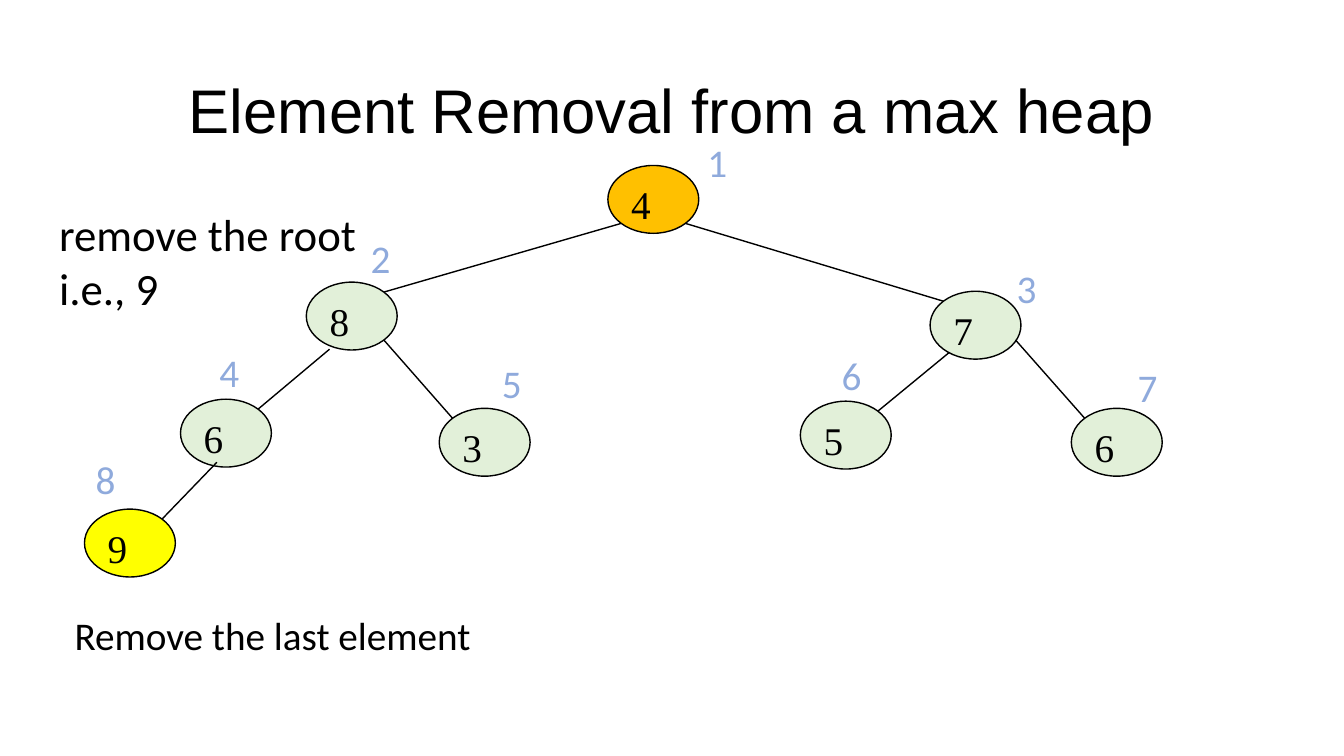
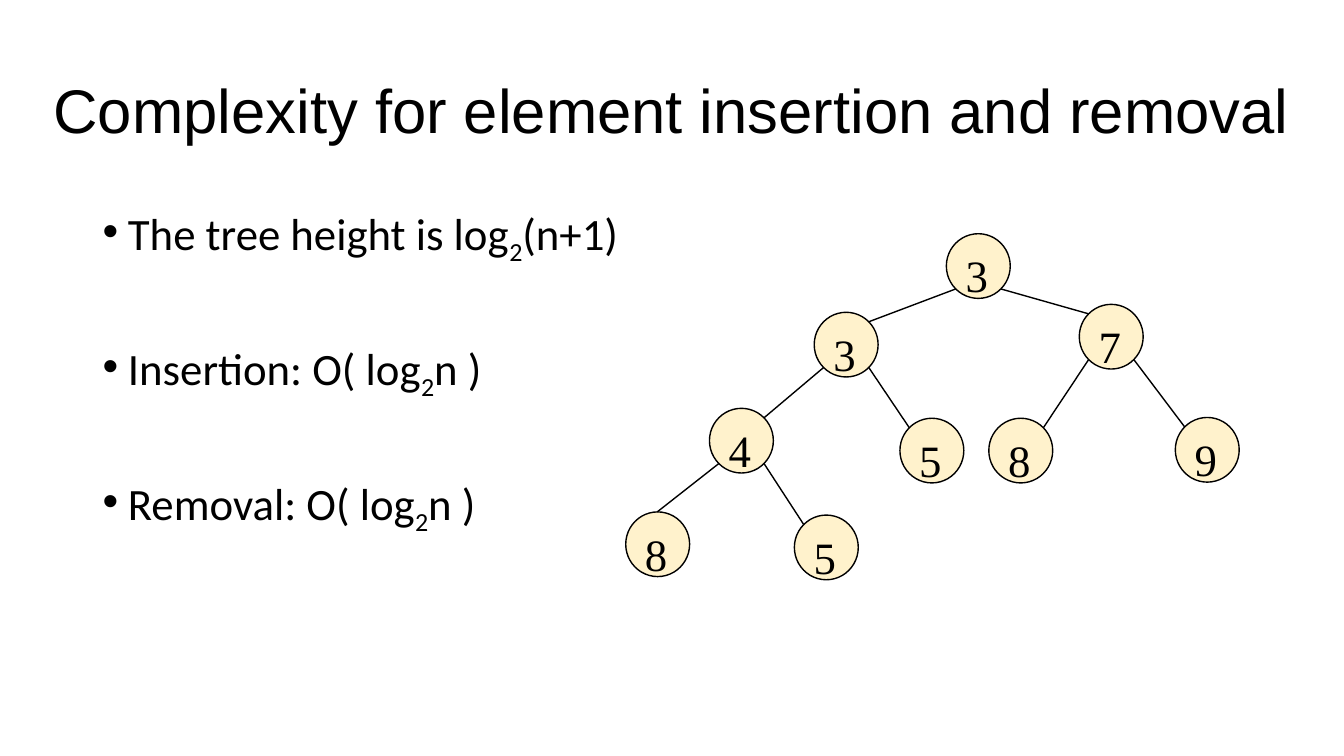
from math import sqrt
from lxml import etree
from pptx import Presentation
from pptx.dml.color import RGBColor
from pptx.enum.shapes import MSO_CONNECTOR, MSO_SHAPE
from pptx.enum.text import MSO_ANCHOR, MSO_AUTO_SIZE, PP_ALIGN
from pptx.oxml.ns import qn
from pptx.util import Cm, Pt

OVAL, STRAIGHT = MSO_SHAPE.OVAL, MSO_CONNECTOR.STRAIGHT
MIDDLE, NO_FIT = MSO_ANCHOR.MIDDLE, MSO_AUTO_SIZE.NONE
LEFT, CENTER = PP_ALIGN.LEFT, PP_ALIGN.CENTER
BLACK, ORANGE, GREEN = "000000", "FFC000", "E2F0D9"
YELLOW, CREAM, BLUE = "FFFF00", "FFF2CC", "8FAADC"
TITLE_ONLY, TITLE_AND_BODY = 5, 1
rgb = RGBColor.from_string


def set_font(p, size, name="Calibri", color=BLACK):
    p.font.size = Pt(size)
    p.font.name = name
    p.font.color.rgb = rgb(color)


def add_text(s, text, x, y, w, h, size, color=BLACK):
    tf = s.shapes.add_textbox(Cm(x), Cm(y), Cm(w), Cm(h)).text_frame
    tf.word_wrap = True
    tf.text = text
    for p in tf.paragraphs:
        set_font(p, size, color=color)


prs = Presentation()
prs.slide_width, prs.slide_height = Cm(33.87), Cm(19.05)

slides = []
for layout, title, x, w in [
    (TITLE_ONLY, "Element Removal from a max heap", 2.33, 29.21),
    (TITLE_AND_BODY, "Complexity for element insertion and removal", 0, 33.87),
]:
    s = prs.slides.add_slide(prs.slide_layouts[layout])
    sp = s.shapes.title
    sp.left, sp.top, sp.width, sp.height = Cm(x), Cm(1.01), Cm(w), Cm(3.68)
    tf = sp.text_frame
    tf.text = title
    tf.auto_size = NO_FIT
    tf.vertical_anchor = MIDDLE
    p = tf.paragraphs[0]
    p.alignment = CENTER
    p.line_spacing = 0.9
    set_font(p, 44, "Arial")
    slides.append(s)
removal, complexity = slides

removal_nodes = [
    ("4", 15.32, 4.17, ORANGE), ("8", 7.72, 7.11, GREEN),
    ("7", 23.44, 7.34, GREEN), ("6", 4.55, 10.06, GREEN),
    ("3", 11.07, 10.29, GREEN), ("5", 20.17, 10.11, GREEN),
    ("6", 27, 10.29, GREEN), ("9", 2.13, 12.83, YELLOW),
]
complexity_nodes = [
    ("3", 23.85, 5.89, CREAM), ("3", 20.52, 7.87, CREAM),
    ("7", 27.2, 7.67, CREAM), ("4", 17.88, 10.29, CREAM),
    ("5", 22.68, 10.54, CREAM), ("8", 24.92, 10.54, CREAM),
    ("9", 29.62, 10.52, CREAM), ("8", 15.77, 12.9, CREAM),
    ("5", 20.02, 12.98, CREAM),
]
removal_nudges = {
    3: (0.25, 0.23, 0, 0), 5: (0.15, 0.08, 0, 0),
    6: (0.2, -0.23, 0, 0), 7: (0.58, 0.13, 0, 0),
}
complexity_nudges = {7: (0, 0, -0.58, -0.24)}

near, far = (1 - sqrt(0.5)) / 2, (1 + sqrt(0.5)) / 2
for s, nodes, nudges, w, h, size in [
    (removal, removal_nodes, removal_nudges, 2.29, 1.71, 28),
    (complexity, complexity_nodes, complexity_nudges, 1.61, 1.63, 32),
]:
    for value, x, y, fill in nodes:
        sp = s.shapes.add_shape(OVAL, Cm(x), Cm(y), Cm(w), Cm(h))
        sp.shadow.inherit = False
        sp.fill.solid()
        sp.fill.fore_color.rgb = rgb(fill)
        sp.line.color.rgb = rgb(BLACK)
        sp.line.width = Pt(1)
        tf = sp.text_frame
        tf.text = value
        tf.vertical_anchor = MSO_ANCHOR.TOP
        p = tf.paragraphs[0]
        p.alignment = LEFT
        set_font(p, size, "Times New Roman")
    for i in range(1, len(nodes)):
        px, py = nodes[(i - 1) // 2][1:3]
        cx, cy = nodes[i][1:3]
        start, end = (near, far) if i % 2 else (far, near)
        dx1, dy1, dx2, dy2 = nudges.get(i, (0, 0, 0, 0))
        line = s.shapes.add_connector(
            STRAIGHT,
            Cm(px + start * w + dx1), Cm(py + far * h + dy1),
            Cm(cx + end * w + dx2), Cm(cy + near * h + dy2))
        line.line.color.rgb = rgb(BLACK)
        line.line.width = Pt(1)
        etree.SubElement(line._element.spPr, qn("a:effectLst"))

label_places = [
    (17.58, 3.35), (9.09, 5.77), (25.37, 6.53), (5.28, 8.66),
    (12.4, 8.92), (20.96, 8.74), (28.42, 9.02), (2.16, 11.35),
]
for number, (x, y) in enumerate(label_places, 1):
    add_text(removal, str(number), x, y, 1.02, 1.45, 28, BLUE)
add_text(removal, "remove the root\ni.e., 9", 1.24, 5.08, 9, 3, 32)
add_text(removal, "Remove the last element", 1.63, 15.29, 12, 1.45, 28)

sp = complexity.placeholders[1]
sp.left, sp.top, sp.width, sp.height = Cm(2.33), Cm(5.07), Cm(29.21), Cm(12.09)
tf = sp.text_frame
tf.auto_size = NO_FIT
for i, (before, after) in enumerate([
    ("The tree height is log", "(n+1)"),
    ("Insertion: O( log", "n )"),
    ("Removal: O( log", "n )"),
]):
    p = tf.add_paragraph() if i else tf.paragraphs[0]
    pPr = p._p.get_or_add_pPr()
    pPr.set("marL", str(Cm(0.64)))
    pPr.set("indent", str(Cm(-0.64)))
    p.line_spacing = 0.9
    p.space_before = Pt(57 if i else 0)
    set_font(p, 32)
    for text, baseline in [(before, 0), ("2", -25000), (after, 0)]:
        r = p.add_run()
        r.text = text
        if baseline:
            r.font._element.set("baseline", str(baseline))

prs.save("out.pptx")
